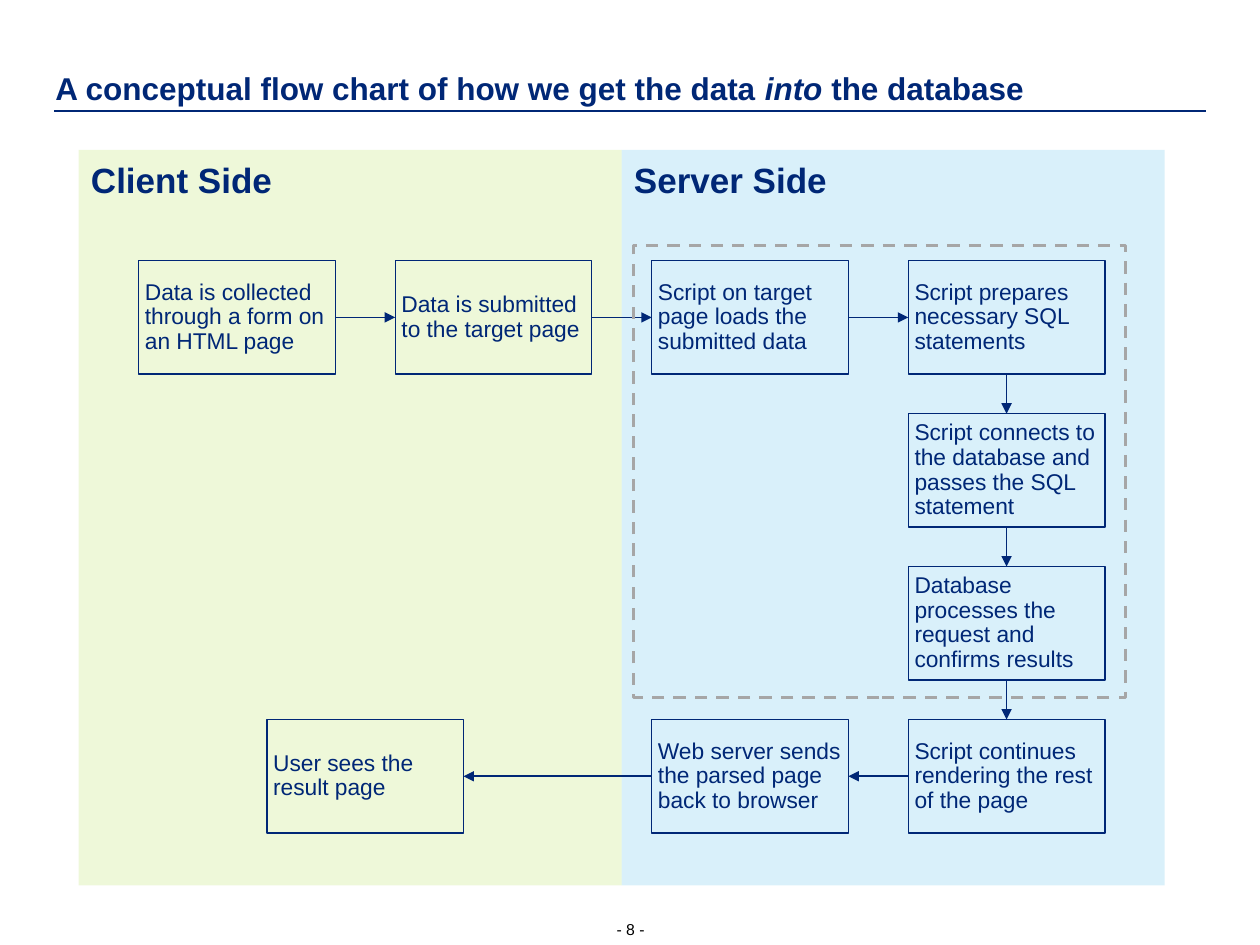
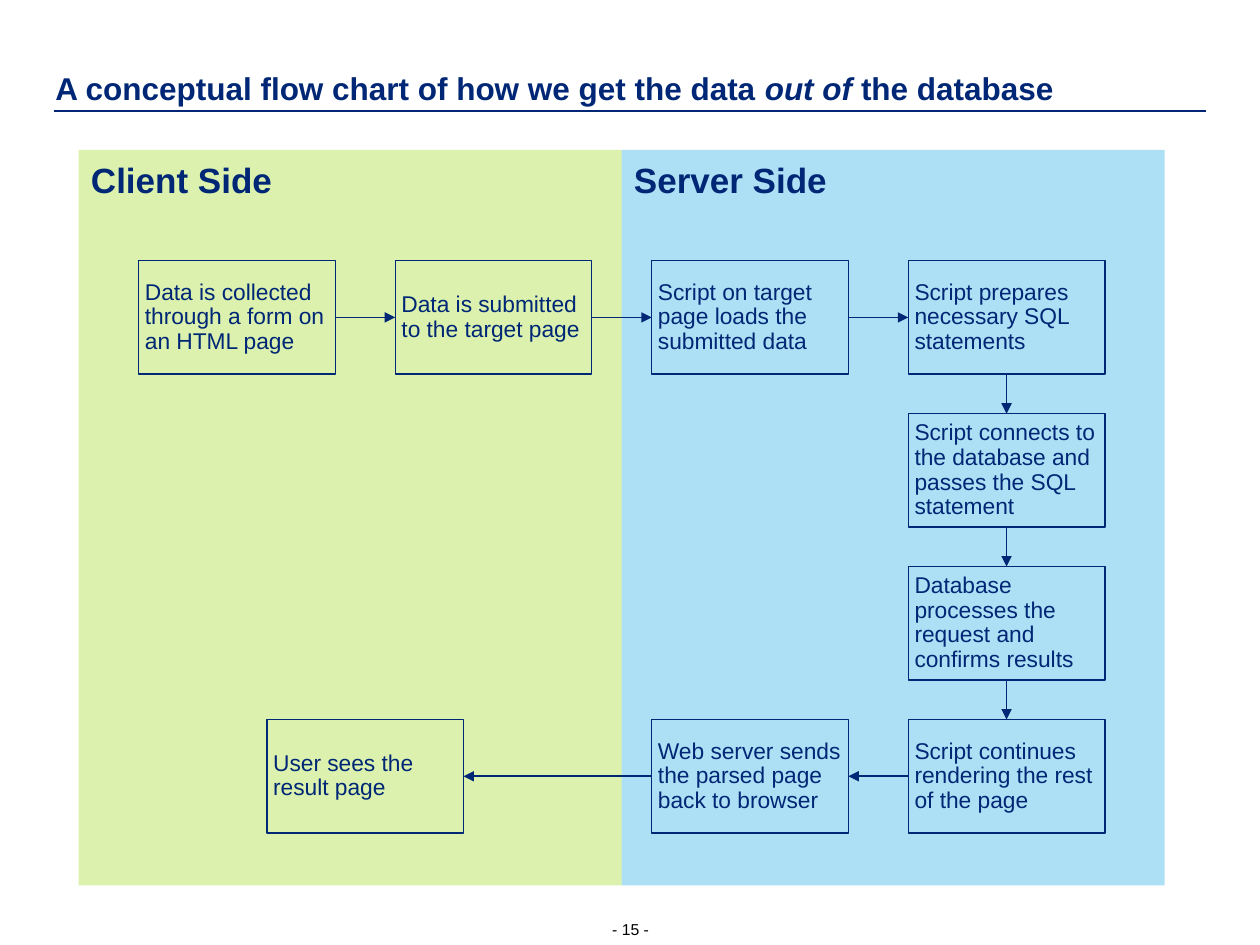
from pptx import Presentation
from pptx.dml.color import RGBColor
from pptx.enum.dml import MSO_LINE
from pptx.enum.shapes import MSO_CONNECTOR, MSO_SHAPE
from pptx.enum.text import MSO_ANCHOR, PP_ALIGN
from pptx.oxml.ns import qn
from pptx.util import Pt
from lxml.etree import SubElement

NAVY, BLUE, GREEN, GREY, BLACK = "002776", "00A1DE", "92D400", "A6A6A6", "000000"
TOP, LEFT, BOTTOM, RIGHT = range(4)

STEPS = {
    "collect": (0, 0, "Data is collected through a form on an HTML page"),
    "submit": (1, 0, "Data is submitted to the target page"),
    "load": (2, 0, "Script on target page loads the submitted data"),
    "prepare": (3, 0, "Script prepares necessary SQL statements"),
    "connect": (3, 1, "Script connects to the database and passes the SQL statement"),
    "process": (3, 2, "Database processes the request and confirms results"),
    "render": (3, 3, "Script continues rendering the rest of the page"),
    "send": (2, 3, "Web server sends the parsed page back to browser"),
    "see": (0.5, 3, "User sees the result page"),
}
FLOW = [
    ("collect", RIGHT, "submit", LEFT),
    ("submit", RIGHT, "load", LEFT),
    ("load", RIGHT, "prepare", LEFT),
    ("prepare", BOTTOM, "connect", TOP),
    ("connect", BOTTOM, "process", TOP),
    ("process", BOTTOM, "render", TOP),
    ("render", LEFT, "send", RIGHT),
    ("send", LEFT, "see", RIGHT),
]


def color(hex_code):
    return RGBColor.from_string(hex_code)


class FlowDeck:
    font = "Arial"
    column_start, column_pitch = 79.2, 146.6
    row_start, row_pitch = 149, 87.4
    step_width, step_height = 112.4, 64.8
    side_top, side_width, side_height = 85.7, 310.3, 420.3

    def __init__(self):
        self.deck = Presentation()
        self.deck.slide_width, self.deck.slide_height = Pt(720), Pt(540)

    def new_slide(self, title_parts, number):
        self.slide = self.deck.slides.add_slide(self.deck.slide_layouts[6])
        self.text(349.2, 524.9, 22.3, 11.5, [f"- {number} -"], 9, BLACK,
                  align=PP_ALIGN.CENTER, spacing=1.06, inset=(0, 0),
                  anchor=MSO_ANCHOR.BOTTOM)
        rule = self.line(1.5)
        rule.begin_x, rule.begin_y = Pt(31), Pt(63.4)
        rule.end_x, rule.end_y = Pt(689), Pt(63.4)
        title = self.text(31.7, 38, 657.3, 23, title_parts, 18, bold=True,
                          spacing=1.06, inset=(0, 0), anchor=MSO_ANCHOR.BOTTOM,
                          wrap=True)
        title.text_frame.paragraphs[0].runs[1].font.italic = True

    def label(self, shape, parts, size, hex_code=NAVY, bold=False,
              align=PP_ALIGN.LEFT, spacing=None, inset=(7.2, 3.6),
              anchor=MSO_ANCHOR.TOP, wrap=False):
        frame = shape.text_frame
        frame.word_wrap, frame.vertical_anchor = wrap, anchor
        frame.margin_left = frame.margin_right = Pt(inset[0])
        frame.margin_top = frame.margin_bottom = Pt(inset[1])
        paragraph = frame.paragraphs[0]
        paragraph.alignment, paragraph.line_spacing = align, spacing
        for part in parts:
            run = paragraph.add_run()
            run.text = part
            run.font.name, run.font.size, run.font.bold = self.font, Pt(size), bold
            run.font.color.rgb = color(hex_code)

    def text(self, left, top, width, height, parts, size, *args, **style):
        box = self.slide.shapes.add_textbox(Pt(left), Pt(top), Pt(width), Pt(height))
        self.label(box, parts, size, *args, **style)
        return box

    def rectangle(self, left, top, width, height):
        box = self.slide.shapes.add_shape(
            MSO_SHAPE.RECTANGLE, Pt(left), Pt(top), Pt(width), Pt(height))
        box.shadow.inherit = False
        box.fill.background()
        box.line.fill.background()
        return box

    def outline(self, box, hex_code, weight):
        box.line.color.rgb = color(hex_code)
        box.line.width = Pt(weight)

    def side(self, left, hex_code, opacity):
        panel = self.rectangle(left, self.side_top, self.side_width, self.side_height)
        panel.fill.solid()
        panel.fill.fore_color.rgb = color(hex_code)
        tint = panel._element.spPr.find(".//" + qn("a:srgbClr"))
        SubElement(tint, qn("a:alpha"), val=str(opacity * 1000))

    def heading(self, left, caption, width):
        self.text(left, 87.1, width, 31.7, [caption], 20, bold=True)

    def step(self, column, row, action):
        box = self.rectangle(self.column_start + column * self.column_pitch,
                             self.row_start + row * self.row_pitch,
                             self.step_width, self.step_height)
        self.outline(box, NAVY, 0.75)
        self.label(box, [action], 13, spacing=0.9, inset=(3.6, 2.16),
                   anchor=MSO_ANCHOR.MIDDLE, wrap=True)
        return box

    def line(self, weight):
        line = self.slide.shapes.add_connector(MSO_CONNECTOR.STRAIGHT, 0, 0, 0, 0)
        self.outline(line, NAVY, weight)
        SubElement(line._element.spPr, qn("a:effectLst"))
        return line

    def arrow(self, source, source_side, target, target_side):
        arrow = self.line(1)
        arrow.begin_connect(source, source_side)
        arrow.end_connect(target, target_side)
        outline = arrow._element.spPr.find(qn("a:ln"))
        SubElement(outline, qn("a:tailEnd"), type="triangle")

    def dashed_frame(self, left, top, width, height):
        frame = self.rectangle(left, top, width, height)
        self.outline(frame, GREY, 1.75)
        frame.line.dash_style = MSO_LINE.DASH

    def flow_chart(self, opacity):
        client_left = 44.9
        server_left = client_left + self.side_width
        self.side(server_left, BLUE, opacity)
        self.side(client_left, GREEN, opacity)
        steps = {key: self.step(*place) for key, place in STEPS.items()}
        for source, source_side, target, target_side in FLOW:
            self.arrow(steps[source], source_side, steps[target], target_side)
        self.heading(client_left, "Client Side", 118.8)
        self.heading(server_left, "Server Side", 125.3)


def main():
    flow = FlowDeck()
    opening = "A conceptual flow chart of how we get the data "
    flow.new_slide([opening, "into", " the database"], 8)
    flow.flow_chart(15)
    flow.dashed_frame(362, 140.2, 281, 258.4)
    flow.new_slide([opening, "out of ", "the database"], 15)
    flow.flow_chart(32)
    flow.deck.save("out.pptx")


if __name__ == "__main__":
    main()
